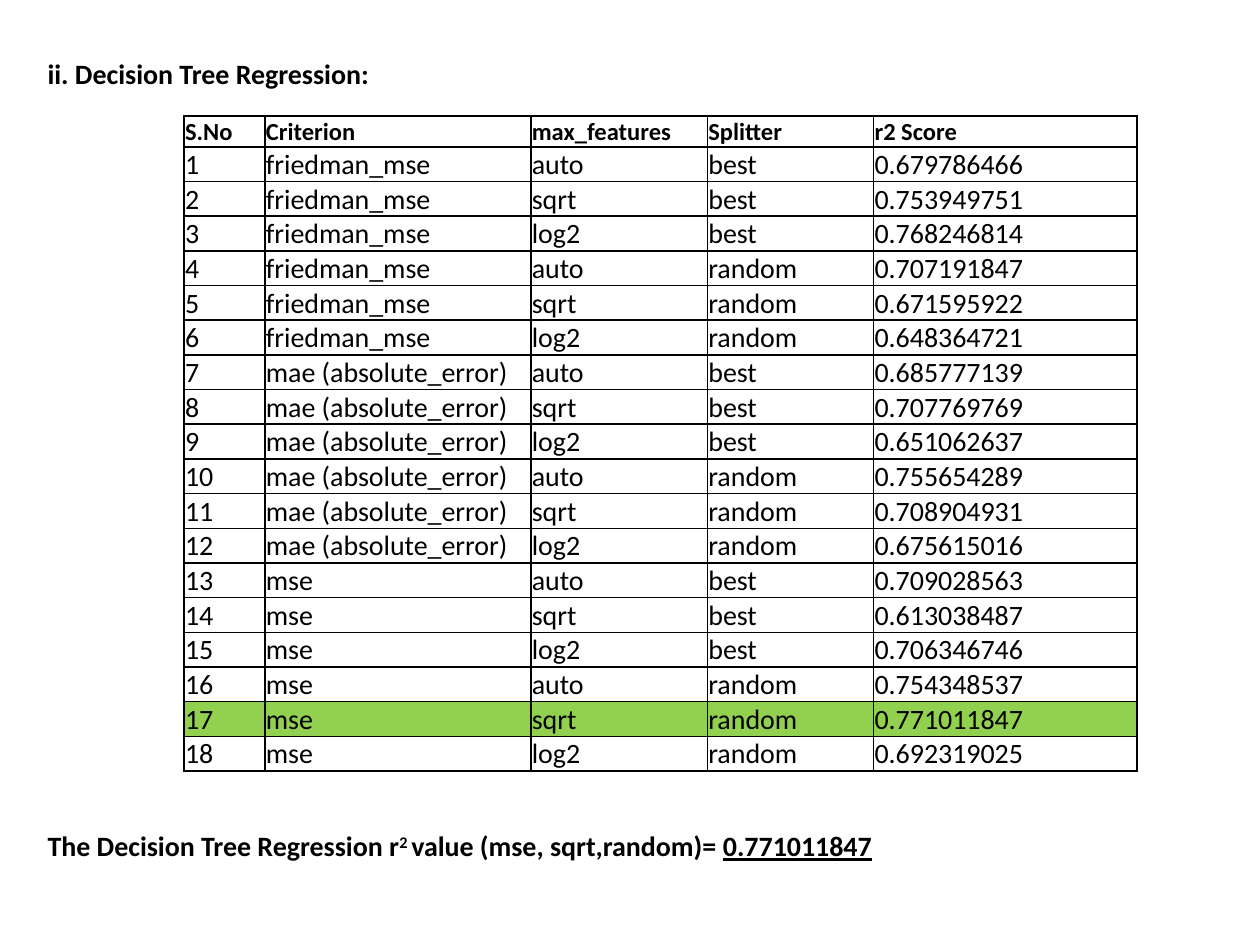
import itertools

import lxml.etree
import pptx
import pptx.dml.color
import pptx.enum.text
import pptx.oxml.ns
import pptx.util
from pptx.util import Cm, Pt

BLACK = pptx.dml.color.RGBColor(0x00, 0x00, 0x00)
GREEN = pptx.dml.color.RGBColor(0x92, 0xD0, 0x50)

HEADINGS = ["S.No", "Criterion", "max_features", "Splitter", "r2 Score"]
CRITERIA = ["friedman_mse", "mae (absolute_error)", "mse"]
SPLITTERS = ["best", "random"]
FEATURES = ["auto", "sqrt", "log2"]
SCORES = [
    "0.679786466", "0.753949751", "0.768246814",
    "0.707191847", "0.671595922", "0.648364721",
    "0.685777139", "0.707769769", "0.651062637",
    "0.755654289", "0.708904931", "0.675615016",
    "0.709028563", "0.613038487", "0.706346746",
    "0.754348537", "0.771011847", "0.692319025",
]
COLUMN_WIDTHS = [1.63, 5.36, 3.56, 3.35, 5.31]
HEADER_HEIGHT = 0.62
ROW_HEIGHT = 0.7


class SlideBuilder:
    """Holds the slide and its style, and adds text and tables."""

    font_name = "Calibri"
    cell_format = {
        "margin_left": Cm(0.02),
        "margin_right": Cm(0.02),
        "margin_top": Cm(0.02),
        "margin_bottom": 0,
        "vertical_anchor": pptx.enum.text.MSO_ANCHOR.BOTTOM,
    }

    def __init__(self, slide):
        self.slide = slide

    def add_run(self, paragraph, text, baseline=None, **font_format):
        run = paragraph.add_run()
        run.text = text
        values = {"name": self.font_name, "size": Pt(16), "bold": False}
        for name, value in {**values, **font_format}.items():
            setattr(run.font, name, value)
        run.font.color.rgb = BLACK
        if baseline:
            run._r.get_or_add_rPr().set("baseline", str(baseline))

    def add_text(self, left, top, width, height, paragraphs, gap):
        shape = self.slide.shapes.add_textbox(Cm(left), Cm(top), Cm(width), Cm(height))
        frame = shape.text_frame
        frame.word_wrap = True
        for index, runs in enumerate(paragraphs):
            paragraph = frame.add_paragraph() if index else frame.paragraphs[0]
            paragraph.space_before = Pt(gap if index else 0)
            for text, font_format in runs:
                self.add_run(paragraph, text, bold=True, **font_format)

    def add_borders(self, cell):
        properties = cell._tc.get_or_add_tcPr()
        qualified = pptx.oxml.ns.qn
        for side in ("a:lnL", "a:lnR", "a:lnT", "a:lnB"):
            line = lxml.etree.SubElement(properties, qualified(side), w=str(Pt(1)))
            fill = lxml.etree.SubElement(line, qualified("a:solidFill"))
            lxml.etree.SubElement(fill, qualified("a:srgbClr"), val=str(BLACK))

    def add_table(self, left, top, widths, rows, highlighted_row):
        heights = [HEADER_HEIGHT] + [ROW_HEIGHT] * (len(rows) - 1)
        table = self.slide.shapes.add_table(
            len(rows), len(widths), Cm(left), Cm(top), Cm(sum(widths)), Cm(sum(heights))
        ).table
        table.first_row = table.horz_banding = False
        for column, width in zip(table.columns, widths):
            column.width = Cm(width)
        for row, height in zip(table.rows, heights):
            row.height = Cm(height)
        for row_index, values in enumerate(rows):
            header = row_index == 0
            for column_index, text in enumerate(values):
                cell = table.cell(row_index, column_index)
                for name, value in self.cell_format.items():
                    setattr(cell, name, value)
                self.add_borders(cell)
                if row_index == highlighted_row:
                    cell.fill.solid()
                    cell.fill.fore_color.rgb = GREEN
                else:
                    cell.fill.background()
                paragraph = cell.text_frame.paragraphs[0]
                self.add_run(paragraph, text, size=Pt(14 if header else 16), bold=header)


presentation = pptx.Presentation()
presentation.slide_width = Cm(25.4)
presentation.slide_height = Cm(19.05)
builder = SlideBuilder(presentation.slides.add_slide(presentation.slide_layouts[6]))

best_score = max(SCORES)
conclusion = [
    ("The Decision Tree Regression r", {}),
    ("2 ", {"baseline": 30000}),
    ("value (mse, sqrt,random)= ", {}),
    (best_score, {"underline": True}),
]
builder.add_text(
    0.71, 1.02, 24.21, 16.66, [[("ii. Decision Tree Regression:", {})], conclusion], gap=422
)

settings = itertools.product(CRITERIA, SPLITTERS, FEATURES)
results = [
    [str(number), criterion, feature, splitter, score]
    for number, ((criterion, splitter, feature), score) in enumerate(zip(settings, SCORES), 1)
]
builder.add_table(
    3.71, 2.34, COLUMN_WIDTHS, [HEADINGS] + results, SCORES.index(best_score) + 1
)

presentation.save("out.pptx")
